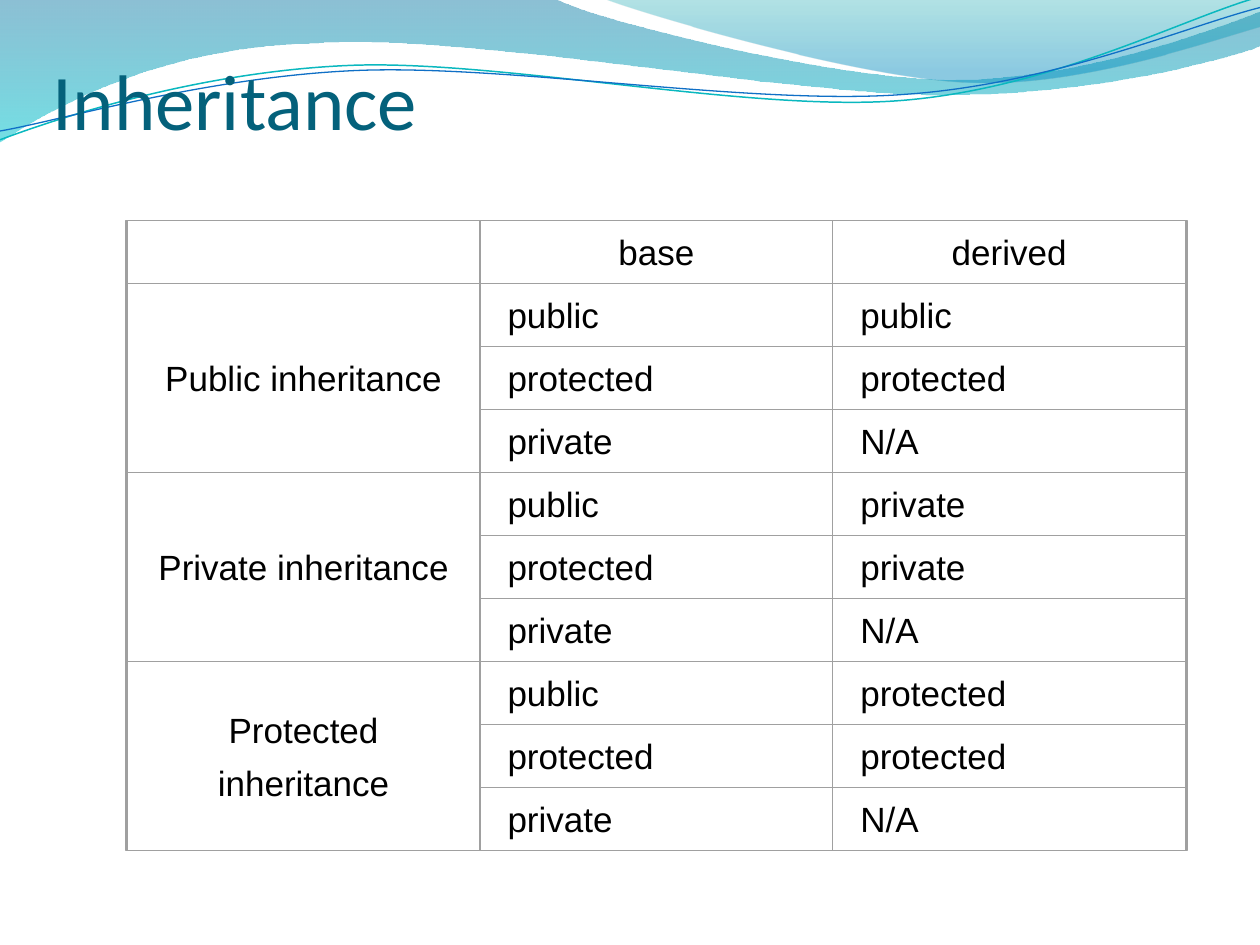
from lxml import etree
from pptx import Presentation
from pptx.dml.color import RGBColor
from pptx.enum.shapes import MSO_SHAPE
from pptx.enum.text import MSO_ANCHOR, PP_ALIGN
from pptx.oxml.ns import qn
from pptx.util import Inches, Pt

RECT = MSO_SHAPE.RECTANGLE
CENTER, LEFT = PP_ALIGN.CENTER, PP_ALIGN.LEFT
MIDDLE, BOTTOM = MSO_ANCHOR.MIDDLE, MSO_ANCHOR.BOTTOM
GREY = "A0A0A0"

# Content
TITLE = "Inheritance"
HEADS = ["", "base", "derived"]
BASES = ["public", "protected", "private"]
GROUPS = [
    ("Public inheritance", ["public", "protected", "N/A"]),
    ("Private inheritance", ["private", "private", "N/A"]),
    ("Protected\ninheritance", ["protected", "protected", "N/A"]),
]

# Grid of the chart, in inches
X, Y, WIDE, HIGH, INSET = 1.01, 1.75, 2.8, 0.5, 0.12

# Waves: a start, then straight steps (2 numbers) or curves (6 numbers)
# Gradient stops: position, colour, opacity in percent
BANDS = [
    ([(0, 0), (4.4, -0.01), (4.76, 0.17, 6.64, 0.63, 7.58, 0.63),
      (8.53, 0.63, 9.58, 0.26, 10, 0.09), (10.01, 0.36),
      (9.83, 0.44, 8.7, 0.76, 7.46, 0.75), (6.22, 0.75, 3.82, 0.28, 2.57, 0.34),
      (1.29, 0.36, 0.46, 0.83, -0.01, 1.13), (0, 0)],
     [(0, "0074A1", 45), (1, "00C6CF", 55)]),
    ([(4.79, -0.01), (5.09, 0.11, 6.82, 0.62, 7.69, 0.65),
      (8.56, 0.69, 9.61, 0.32, 10, 0.21), (10, 0), (4.79, -0.01)],
     [(0, "00A1A9", 30), (0.8, "008BBF", 45)]),
]
LINES = [
    ([(0, 1.11), (0.48, 0.93, 1.58, 0.57, 2.77, 0.52),
      (3.95, 0.47, 5.93, 0.89, 7.13, 0.8), (8.33, 0.71, 9.38, 0.15, 9.98, -0.02)],
     "0AB8BF", 0.85),
    ([(0, 1.04), (0.47, 0.96, 1.64, 0.61, 2.83, 0.56),
      (4.03, 0.51, 5.97, 0.84, 7.17, 0.75), (8.36, 0.67, 9.41, 0.21, 10, 0.06)],
     "0F6FC6", 0.75),
]


def color(code):
    return RGBColor.from_string(code)


def wave(steps, close):
    """Draw a freeform, joining each three points of a curve in one step."""
    points = [(Inches(s[i]), Inches(s[i + 1])) for s in steps for i in range(0, len(s), 2)]
    pen = slide.shapes.build_freeform(*points[0])
    pen.add_line_segments(points[1:], close=close)
    shape = pen.convert_to_shape()
    shape.shadow.inherit = False
    nodes = iter(list(shape._element.spPr.iter(qn("a:lnTo"))))
    for step in steps[1:]:
        node = next(nodes)
        if len(step) == 6:
            curve = etree.Element(qn("a:cubicBezTo"))
            node.addprevious(curve)
            for part in (node, next(nodes), next(nodes)):
                curve.append(part[0])
                part.getparent().remove(part)
    return shape


def frame(x, y, w, h, width):
    shape = chart.shapes.add_shape(RECT, Inches(x), Inches(y), Inches(w), Inches(h))
    shape.shadow.inherit = False
    shape.fill.background()
    shape.line.color.rgb = color(GREY)
    shape.line.width = Pt(width)


def write(shapes, text, x, y, w, h, size, font, code, anchor, align=LEFT):
    box = shapes.add_textbox(Inches(x), Inches(y), Inches(w), Inches(h)).text_frame
    box.word_wrap = True
    box.vertical_anchor = anchor
    box.text = text
    for para in box.paragraphs:
        para.alignment = align
        for run in para.runs:
            run.font.size, run.font.name = Pt(size), font
            run.font.color.rgb = color(code)
    return box


def entry(text, col, row, span=1, align=LEFT):
    """Place one label and its border on the grid."""
    x, y, h = X + col * WIDE, Y + row * HIGH, span * HIGH
    if text:
        box = write(chart.shapes, text, x + INSET, y, WIDE - 2 * INSET, h,
                    20, "Arial", "000000", MIDDLE, align)
        for para in box.paragraphs:
            gap = etree.Element(qn("a:spcBef"))
            etree.SubElement(gap, qn("a:spcPct"), val="30000")
            para._p.get_or_add_pPr().insert(0, gap)
    frame(x, y, WIDE, h, 0)


prs = Presentation()
prs.slide_width, prs.slide_height = Inches(10), Inches(7.5)
slide = prs.slides.add_slide(prs.slide_layouts[6])

# Waves along the top
for steps, stops in BANDS:
    band = wave(steps, True)
    band.line.fill.background()
    band.fill.gradient()
    band.fill.gradient_angle = 270
    for stop, (place, code, _) in zip(band.fill.gradient_stops, stops):
        stop.position = place
        stop.color.rgb = color(code)
    for node, (_, _, alpha) in zip(band._element.spPr.iter(qn("a:srgbClr")), stops):
        etree.SubElement(node, qn("a:alpha"), val=str(alpha * 1000))
for steps, code, width in LINES:
    curve = wave(steps, False)
    curve.fill.background()
    curve.line.color.rgb = color(code)
    curve.line.width = Pt(width)

# Title
head = write(slide.shapes, TITLE, 0.42, 0.33, 9.25, 0.83, 45, "Calibri", "04617B", BOTTOM)
head.margin_left = head.margin_right = head.margin_bottom = 0

# Grid of access rules
chart = slide.shapes.add_group_shape()
for col, text in enumerate(HEADS):
    entry(text, col, 0, align=CENTER)
count = len(BASES)
for g, (name, results) in enumerate(GROUPS):
    top = 1 + g * count
    entry(name, 0, top, count, CENTER)
    for i, pair in enumerate(zip(BASES, results)):
        for col, text in enumerate(pair, 1):
            entry(text, col, top + i)
frame(1, Y, 8.42, HIGH * (1 + count * len(GROUPS)), 0.87)

prs.save("out.pptx")
